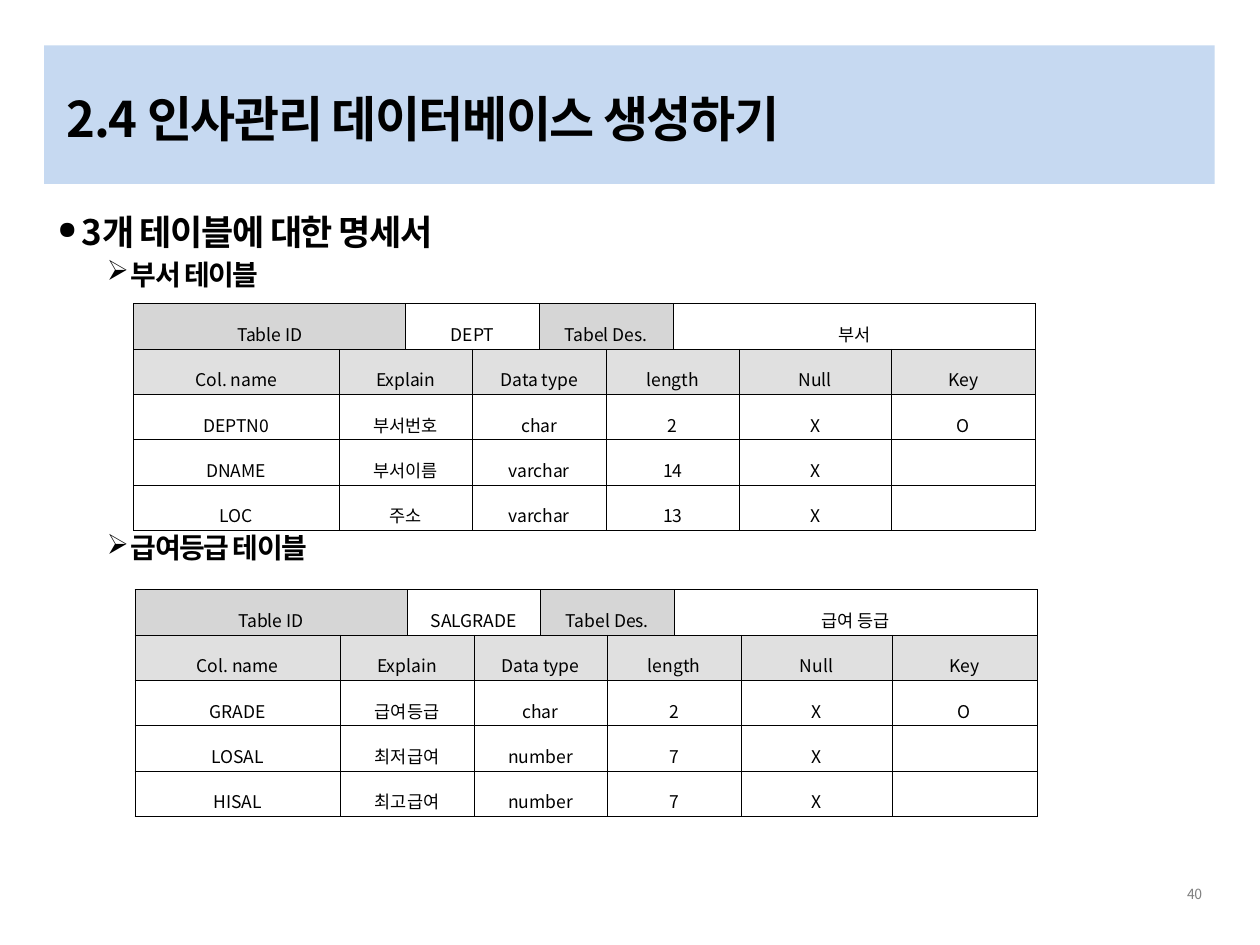
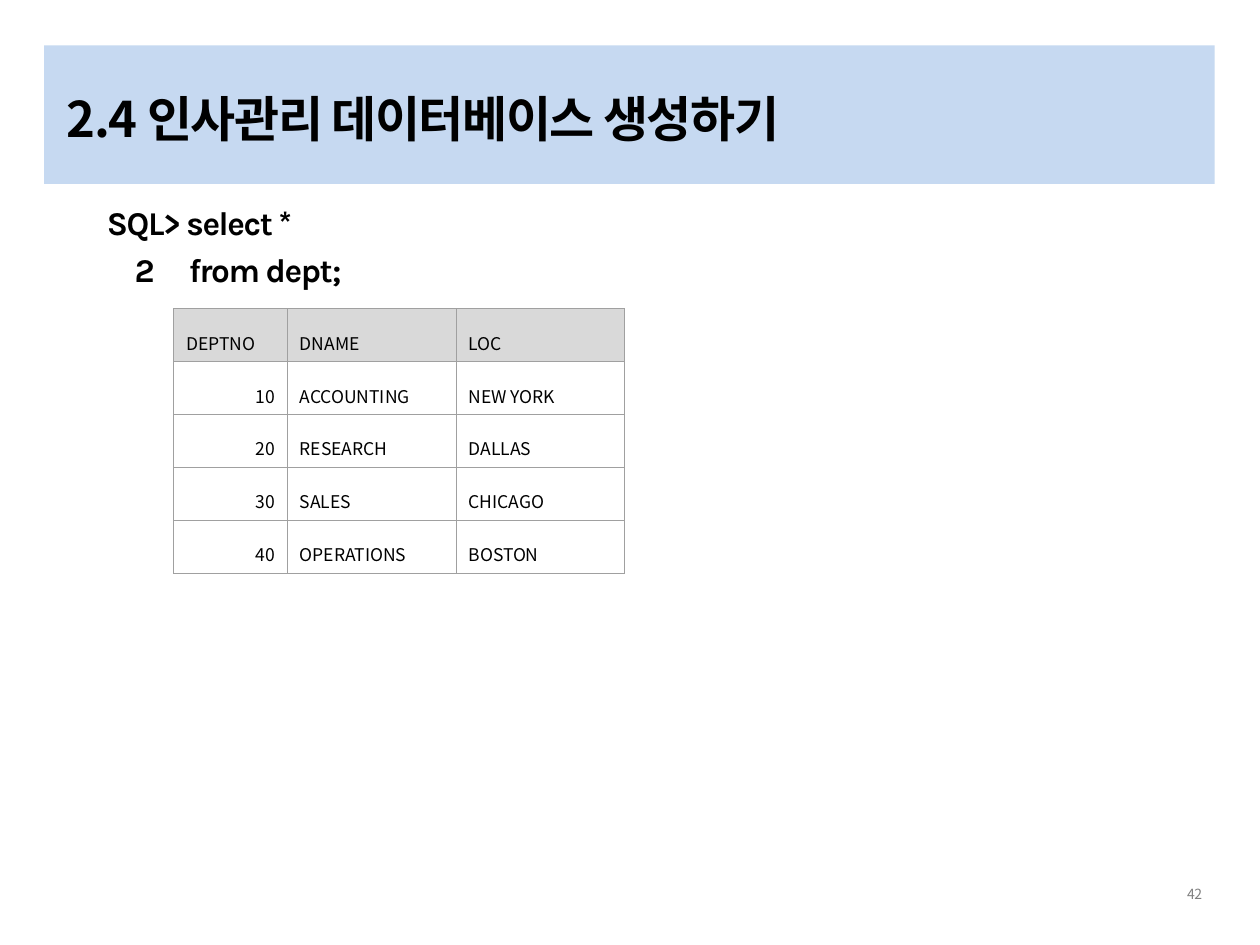
from lxml.etree import SubElement
from pptx import Presentation
from pptx.dml.color import RGBColor
from pptx.enum.shapes import MSO_SHAPE
from pptx.enum.text import MSO_ANCHOR, MSO_AUTO_SIZE, PP_ALIGN
from pptx.oxml.ns import qn
from pptx.util import Inches, Pt

COLORS = {
    "band": "C6D9F1", "text": "000000", "page_number": "808080",
    "spec_title": "D6D6D6", "spec_header": "E0E0E0", "spec_border": "000000",
    "result_header": "D9D9D9", "result_border": "A0A0A0",
}
KOREAN, CODE = "Noto Sans CJK KR", "Karla"
TITLE = "2.4 인사관리 데이터베이스 생성하기"
BODY = (0.36, 1.62, 9.29, 5.32)

SPEC_COLUMNS = [1.63] + [0.53] * 6 + [1.2, 1.15]
SPEC_TITLE_SPANS = (2, 2, 2, 3)
SPEC_ROW_SPANS = (1, 2, 2, 2, 1, 1)
SPEC_HEADER = ("Col. name", "Explain", "Data type", "length", "Null", "Key")

DEPT_FIELDS = [
    ("DEPTN0", "부서번호", "char", "2", "X", "O"),
    ("DNAME", "부서이름", "varchar", "14", "X", ""),
    ("LOC", "주소", "varchar", "13", "X", ""),
]
SALGRADE_FIELDS = [
    ("GRADE", "급여등급", "char", "2", "X", "O"),
    ("LOSAL", "최저급여", "number", "7", "X", ""),
    ("HISAL", "최고급여", "number", "7", "X", ""),
]
DEPT_RESULT = [
    ("DEPTNO", "DNAME", "LOC"),
    ("10", "ACCOUNTING", "NEW YORK"),
    ("20", "RESEARCH", "DALLAS"),
    ("30", "SALES", "CHICAGO"),
    ("40", "OPERATIONS", "BOSTON"),
]


def color(name):
    return RGBColor.from_string(COLORS[name])


def add_span(para, text, size, font=KOREAN, ink="text", bold=False, spacing=0):
    """Add one run; spacing is the character spacing in points."""
    span = para.add_run()
    span.text = text
    span.font.size = Pt(size)
    span.font.bold = bold
    span.font.name = font
    span.font.color.rgb = color(ink)
    properties = span.font._element
    SubElement(properties, qn("a:ea"), typeface=font)
    if spacing:
        properties.set("spc", str(round(spacing * 100)))


def set_indent(para, margin, first_line):
    properties = para._p.get_or_add_pPr()
    properties.set("marL", str(Inches(margin)))
    properties.set("indent", str(Inches(first_line)))


def set_bullet(para, mark, percent):
    properties = para._p.get_or_add_pPr()
    SubElement(properties, qn("a:buSzPct"), val=str(percent * 1000))
    SubElement(properties, qn("a:buChar"), char=mark)


def add_text_box(slide, place):
    box = slide.shapes.add_textbox(*map(Inches, place))
    box.text_frame.word_wrap = True
    return box.text_frame


def add_paragraphs(frame, count):
    return [frame.paragraphs[0]] + [frame.add_paragraph() for _ in range(count - 1)]


def add_titled_slide(deck, page_number):
    """Add a slide with the shared band, title and page number."""
    slide = deck.slides.add_slide(deck.slide_layouts[5])
    title = slide.shapes.title
    title.left, title.top, title.width, title.height = map(
        Inches, (0.43, 0.21, 8.5, 0.98))
    frame = title.text_frame
    frame.auto_size = MSO_AUTO_SIZE.NONE
    frame.vertical_anchor = MSO_ANCHOR.MIDDLE
    para = frame.paragraphs[0]
    para.alignment = PP_ALIGN.LEFT
    para.line_spacing = 2.0
    add_span(para, TITLE, 28, bold=True, spacing=-0.8)

    band = slide.shapes.add_shape(
        MSO_SHAPE.RECTANGLE, *map(Inches, (0.35, 0.36, 9.29, 1.1)))
    band.shadow.inherit = False
    band.fill.solid()
    band.fill.fore_color.rgb = color("band")
    band.line.fill.background()
    title.element.addprevious(band.element)

    para = add_text_box(slide, (8.07, 6.98, 1.57, 0.24)).paragraphs[0]
    para.alignment = PP_ALIGN.RIGHT
    add_span(para, str(page_number), 8, ink="page_number", spacing=-0.3)
    return slide


def add_outline(slide, items):
    """Add headings given as (text, mark, mark percent, size, margin, space before)."""
    frame = add_text_box(slide, BODY)
    for para, item in zip(add_paragraphs(frame, len(items)), items):
        text, mark, percent, size, margin, gap = item
        para.space_before = Pt(gap)
        set_indent(para, margin, -0.19)
        set_bullet(para, mark, percent)
        add_span(para, text, size, bold=True, spacing=-0.8)


def add_query(slide):
    first, second = add_paragraphs(add_text_box(slide, BODY), 2)
    first.line_spacing = 0.8
    second.space_before = Pt(4)
    set_indent(first, 0.39, 0)
    set_indent(second, 1.04, -0.43)
    for para, text in ((first, "SQL> select *"), (second, "2\tfrom dept;")):
        add_span(para, text, 19, font=CODE, bold=True, spacing=-0.8)


def set_borders(cell, ink, width):
    properties = cell._tc.get_or_add_tcPr()
    for side in ("a:lnL", "a:lnR", "a:lnT", "a:lnB"):
        line = SubElement(properties, qn(side), w=str(Pt(width)))
        fill = SubElement(line, qn("a:solidFill"))
        SubElement(fill, qn("a:srgbClr"), val=COLORS[ink])


def add_grid(slide, left, top, columns, row_count, row_height, border, margins):
    """Add an unfilled table; border is (colour, width), margins (side, top)."""
    place = map(Inches, (left, top, sum(columns), row_count * row_height))
    table = slide.shapes.add_table(row_count, len(columns), *place).table
    table.first_row = table.horz_banding = False
    for column, width in zip(table.columns, columns):
        column.width = Inches(width)
    for row in table.rows:
        row.height = Inches(row_height)
        for cell in row.cells:
            set_borders(cell, *border)
            cell.fill.background()
            cell.vertical_anchor = MSO_ANCHOR.MIDDLE
            cell.margin_left = cell.margin_right = Inches(margins[0])
            cell.margin_top = cell.margin_bottom = Inches(margins[1])
    return table


def fill_cell(cell, text, align, fill=None):
    if fill:
        cell.fill.solid()
        cell.fill.fore_color.rgb = color(fill)
    para = cell.text_frame.paragraphs[0]
    para.alignment = align
    para.line_spacing = 1.6
    if text:
        add_span(para, text, 10)


def add_spec_table(slide, left, top, table_id, description, fields):
    title_row = ("Table ID", table_id, "Tabel Des.", description)
    rows = [(title_row, SPEC_TITLE_SPANS, ("spec_title", None) * 2),
            (SPEC_HEADER, SPEC_ROW_SPANS, ("spec_header",) * 6)]
    rows += [(field, SPEC_ROW_SPANS, (None,) * 6) for field in fields]
    table = add_grid(slide, left, top, SPEC_COLUMNS, len(rows), 0.36,
                     ("spec_border", 0.28), (0.07, 0.02))
    for row, (texts, spans, fills) in enumerate(rows):
        column = 0
        for text, width, fill in zip(texts, spans, fills):
            cell = table.cell(row, column)
            if width > 1:
                cell.merge(table.cell(row, column + width - 1))
            fill_cell(cell, text, PP_ALIGN.CENTER, fill)
            column += width


def add_result_table(slide, left, top, rows):
    table = add_grid(slide, left, top, [0.9, 1.34, 1.34], len(rows), 0.42,
                     ("result_border", 0.56), (0.1, 0.05))
    for row, texts in enumerate(rows):
        for column, text in enumerate(texts):
            align = PP_ALIGN.RIGHT if text.isdigit() else PP_ALIGN.LEFT
            fill = "result_header" if row == 0 else None
            fill_cell(table.cell(row, column), text, align, fill)


def main():
    deck = Presentation()
    deck.slide_width, deck.slide_height = Inches(10), Inches(7.5)

    spec_slide = add_titled_slide(deck, 40)
    add_outline(spec_slide, [
        ("3개 테이블에 대한 명세서", "●", 70, 20, 0.19, 0),
        ("부서 테이블", "➢", 100, 16, 0.58, 3),
        ("급여등급 테이블", "➢", 100, 16, 0.58, 137),
    ])
    add_spec_table(spec_slide, 1.07, 4.68, "SALGRADE", "급여 등급", SALGRADE_FIELDS)
    add_spec_table(spec_slide, 1.06, 2.41, "DEPT", "부서", DEPT_FIELDS)

    query_slide = add_titled_slide(deck, 42)
    add_query(query_slide)
    add_result_table(query_slide, 1.38, 2.45, DEPT_RESULT)

    deck.save("out.pptx")


if __name__ == "__main__":
    main()
